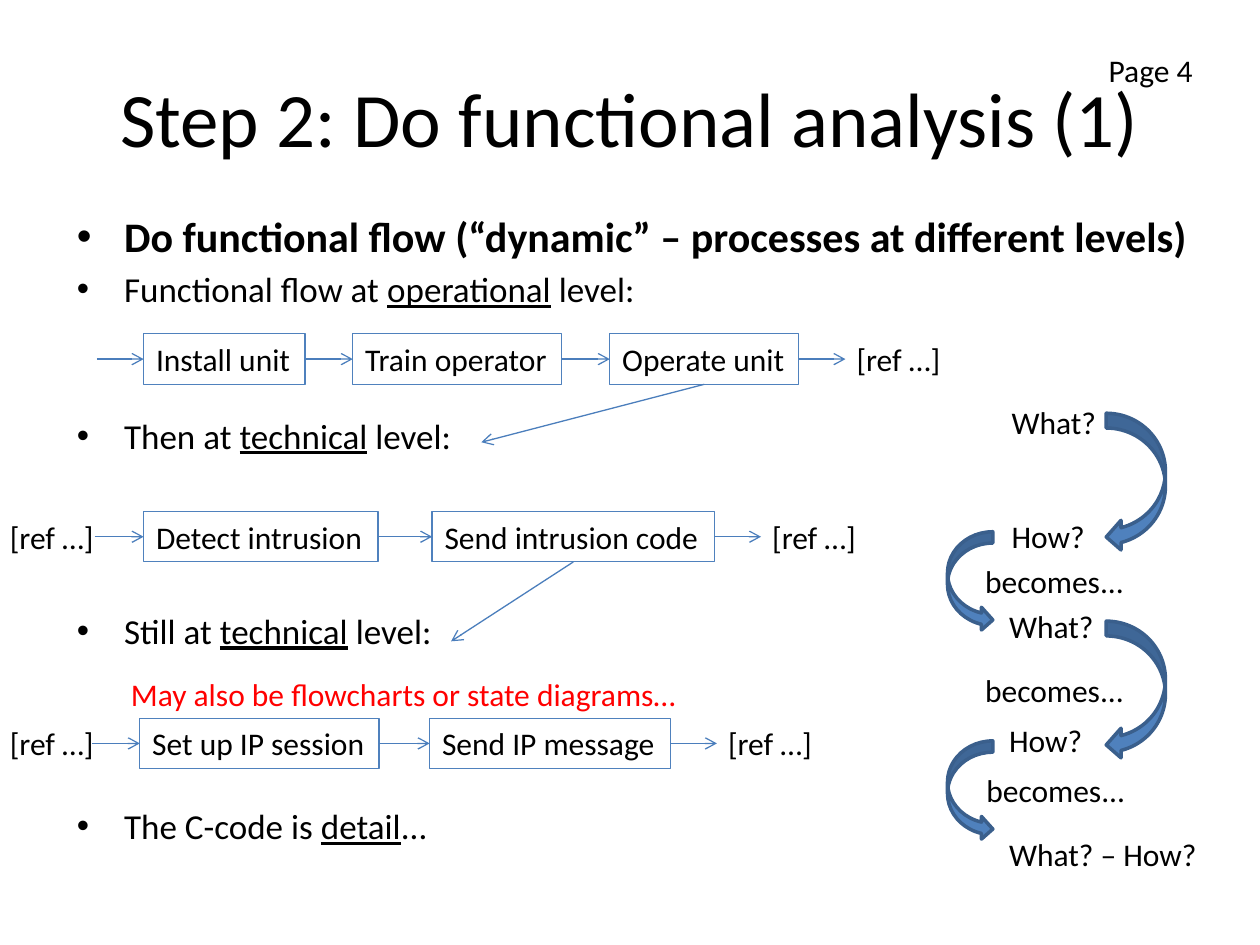
from lxml.etree import SubElement
from pptx import Presentation
from pptx.dml.color import RGBColor
from pptx.enum.shapes import MSO_CONNECTOR, MSO_SHAPE
from pptx.enum.text import MSO_ANCHOR, MSO_AUTO_SIZE, PP_ALIGN
from pptx.oxml.ns import qn
from pptx.util import Inches, Pt

# ---- Content: lengths are in cells of a 100 x 75 grid ----
COLUMNS, ROWS = 100, 75
BLACK, RED = "000000", "FF0000"
BOX_LINE, ARROW_LINE = "4F81BD", "4B7EBC"
CURVE_FILL, CURVE_LINE = "4F81BD", "3A5F8C"
REF = "[ref …]"

TITLE = "Step 2: Do functional analysis (1)"
# (plain, underlined, plain), size, bold, space before in points
BULLETS = [
    (("Do functional flow (“dynamic” – processes at different levels)", "", ""), 24, True, 4.8),
    (("Functional flow at ", "operational", " level:"), 20, False, 4),
    (("Then at ", "technical", " level:"), 20, False, 59.6),
    (("Still at ", "technical", " level:"), 20, False, 87.6),
    (("The C-code is ", "detail", "..."), 20, False, 87.6),
]
# Each flow: top, start of the entry arrow, entry text, boxes (text, left, width),
# and the point that the last box leads down to
FLOWS = [
    dict(top=26.5, start=7.7, entry="", target=(38.2, 35.1),
         boxes=[("Install unit", 11.4, 12.8), ("Train operator", 28, 16.6),
                ("Operate unit", 48.4, 15)]),
    dict(top=40.6, start=7.5, entry=REF, target=(35.8, 50.9),
         boxes=[("Detect intrusion", 11.4, 18.6), ("Send intrusion code", 34.3, 22.4)]),
    dict(top=57, start=7.3, entry=REF, target=None,
         boxes=[("Set up IP session", 11.1, 19), ("Send IP message", 34.1, 19.1)]),
]
BOX_HEIGHT, EXIT_LENGTH = 4, 3.7
REF_LEFT, REF_WIDTH = -0.2, 8.7

# (lines, left, top, width, height, colour)
LABELS = [
    (["Page 4"], 87, 3.6, 8.8, 4, BLACK),
    (["May also be flowcharts or state diagrams…"], 9.4, 53.1, 45.9, 4, RED),
    (["What?", "How?"], 79.3, 31.5, 8.8, 13.1, BLACK),
    (["What?", "How?", "What? – How?"], 79.1, 47.7, 17.1, 22.2, BLACK),
    (["becomes..."], 77.2, 44.1, 13.1, 4, BLACK),
    (["becomes..."], 77.2, 52.8, 13.1, 4, BLACK),
    (["becomes..."], 77.3, 60.7, 13.1, 4, BLACK),
]
LADDER_GAP = 43.5
CURVES = [
    (MSO_SHAPE.CURVED_LEFT_ARROW, 87.8, (32.8, 49.3), 4.7, 11),
    (MSO_SHAPE.CURVED_RIGHT_ARROW, 75.2, (42.2, 58.8), 3.6, 7.9),
]

prs = Presentation()
prs.slide_width, prs.slide_height = Inches(10), Inches(7.5)
slide = prs.slides.add_slide(prs.slide_layouts[1])
shapes = slide.shapes


def cells(*lengths):
    return [round(length * prs.slide_width / COLUMNS) for length in lengths]


def colour(hex_code):
    return RGBColor.from_string(hex_code)


def write(paragraph, text, size=18, bold=False, underline=False, ink=BLACK):
    run = paragraph.add_run()
    run.text = text
    font = run.font
    font.name, font.size, font.bold = "Calibri", Pt(size), bold
    font.underline = underline
    font.color.rgb = colour(ink)


def add_label(lines, left, top, width, height, ink=BLACK, outline=None):
    label = shapes.add_textbox(*cells(left, top, width, height))
    frame = label.text_frame
    frame.word_wrap = False
    frame.auto_size = MSO_AUTO_SIZE.SHAPE_TO_FIT_TEXT
    for i, line in enumerate(lines):
        paragraph = frame.add_paragraph() if i else frame.paragraphs[0]
        if i:
            paragraph.space_before = Pt(LADDER_GAP)
        write(paragraph, line, ink=ink)
    if outline:
        label.line.color.rgb = colour(outline)
        label.line.width = Pt(0.75)
    return label


def add_arrow(start, end, source=None, target=None):
    """source and target are (shape, side) pairs to join."""
    arrow = shapes.add_connector(MSO_CONNECTOR.STRAIGHT, *cells(*start, *end))
    if source:
        arrow.begin_connect(*source)
    if target:
        arrow.end_connect(*target)
    arrow.line.color.rgb = colour(ARROW_LINE)
    arrow.line.width = Pt(0.75)
    SubElement(arrow.line._get_or_add_ln(), qn("a:tailEnd"), type="arrow")
    SubElement(arrow._element.spPr, qn("a:effectLst"))


def add_flow(top, start, entry, target, boxes):
    middle = top + BOX_HEIGHT / 2
    if entry:
        add_label([entry], REF_LEFT, top, REF_WIDTH, BOX_HEIGHT)
    previous, edge = None, start
    for text, left, width in boxes:
        box = add_label([text], left, top, width, BOX_HEIGHT, outline=BOX_LINE)
        add_arrow((edge, middle), (left, middle), previous, (box, 1))
        previous, edge = (box, 3), left + width
    exit_end = edge + EXIT_LENGTH
    add_arrow((edge, middle), (exit_end, middle), previous)
    add_label([REF], exit_end - 0.1, top, REF_WIDTH, BOX_HEIGHT)
    if target:
        add_arrow((left + width / 2, top + BOX_HEIGHT), target, (box, 2))


# ---- Title and bullets ----
title, body = slide.placeholders
title.left, title.top, title.width, title.height = cells(5, 3, 90, 12.5)
title.text_frame.vertical_anchor = MSO_ANCHOR.MIDDLE
heading = title.text_frame.paragraphs[0]
heading.alignment = PP_ALIGN.CENTER
write(heading, TITLE, size=44)

body.left, body.top, body.width, body.height = cells(5.1, 16.2, 92.1, 54.6)
body.text_frame.auto_size = MSO_AUTO_SIZE.NONE
for i, (parts, size, bold, gap) in enumerate(BULLETS):
    bullet = body.text_frame.add_paragraph() if i else body.text_frame.paragraphs[0]
    bullet.space_before = Pt(gap)
    for j, part in enumerate(parts):
        if part:
            write(bullet, part, size=size, bold=bold, underline=j == 1)

# ---- Curved arrows of the what/how ladder ----
for kind, left, tops, width, height in CURVES:
    for top in tops:
        curve = shapes.add_shape(kind, *cells(left, top, width, height))
        curve.shadow.inherit = False
        curve.fill.solid()
        curve.fill.fore_color.rgb = colour(CURVE_FILL)
        curve.line.color.rgb = colour(CURVE_LINE)
        curve.line.width = Pt(2)

# ---- Flows and labels ----
for flow in FLOWS:
    add_flow(**flow)
for label_parts in LABELS:
    add_label(*label_parts)

prs.save("out.pptx")
